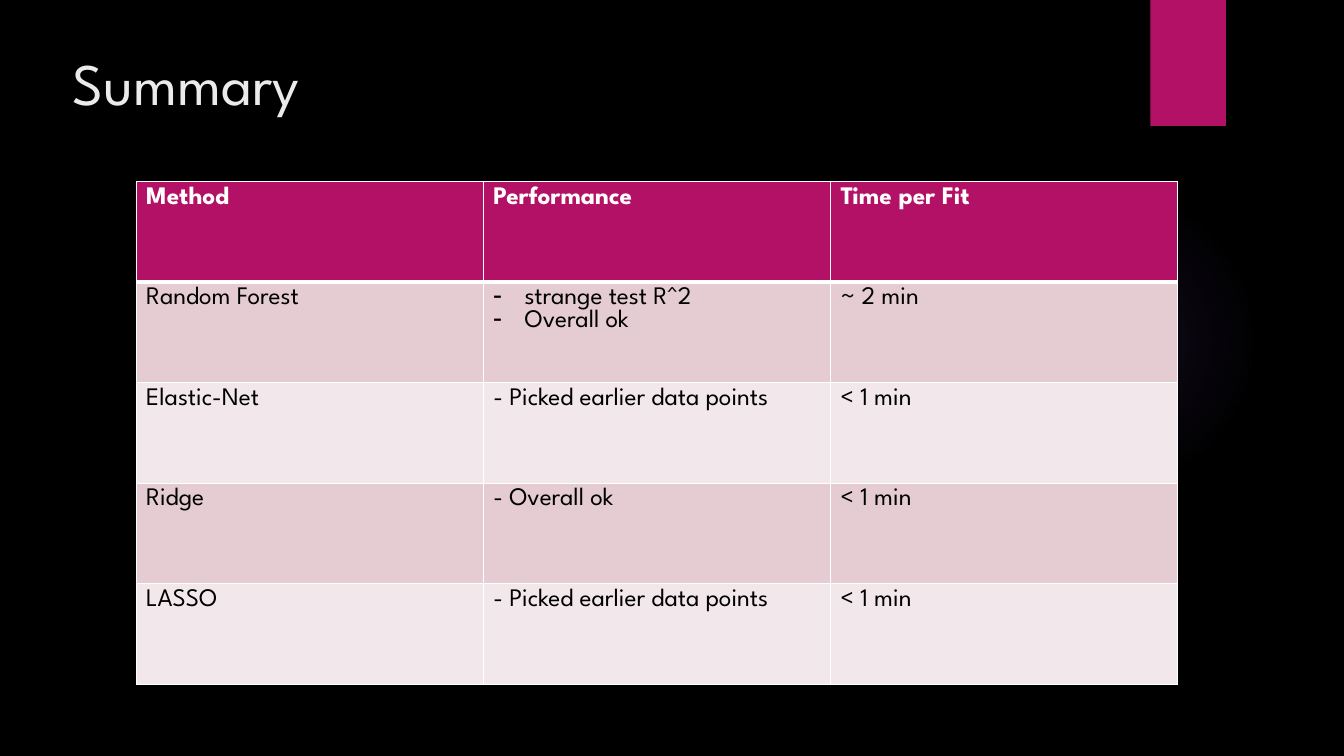
"""Builds the summary slide comparing regression methods."""
from lxml import etree
from pptx import Presentation
from pptx.dml.color import RGBColor
from pptx.enum.shapes import MSO_SHAPE as Shape
from pptx.enum.text import MSO_ANCHOR as Anchor, PP_ALIGN as Align
from pptx.oxml import parse_xml
from pptx.oxml.ns import nsdecls, qn
from pptx.util import Inches, Pt

COLORS = {
    "background": "000000",
    "accent": "B31166",
    "glow": "9B6BF2",
    "title": "EBEBEB",
    "white": "FFFFFF",
    "text": "000000",
    "dark_band": "E5CCD3",
    "light_band": "F2E7EA",
}
FONT = "League Spartan"
ROWS = [
    ["Method", "Performance", "Time per Fit"],
    ["Random Forest", "strange test R^2\nOverall ok", "~ 2 min"],
    ["Elastic-Net", "- Picked earlier data points", "< 1 min"],
    ["Ridge", "- Overall ok", "< 1 min"],
    ["LASSO", "- Picked earlier data points", "< 1 min"],
]


def format_text(paragraph, size, color, bold=False):
    paragraph.alignment = Align.LEFT
    for run in paragraph.runs:
        run.font.name = FONT
        run.font.size = Pt(size)
        run.font.bold = bold
        run.font.color.rgb = RGBColor.from_string(COLORS[color])


def set_borders(cell, top, bottom):
    widths = {"lnL": 1, "lnR": 1, "lnT": top, "lnB": bottom}
    properties = cell._tc.get_or_add_tcPr()
    for index, (side, width) in enumerate(widths.items()):
        border = parse_xml(
            f'<a:{side} {nsdecls("a")} w="{Pt(width)}"><a:solidFill>'
            f'<a:srgbClr val="{COLORS["white"]}"/></a:solidFill></a:{side}>'
        )
        properties.insert(index, border)


presentation = Presentation()
presentation.slide_width = Inches(13.33)
presentation.slide_height = Inches(7.5)
slide = presentation.slides.add_slide(presentation.slide_layouts[5])
slide.background.fill.solid()
slide.background.fill.fore_color.rgb = RGBColor.from_string(COLORS["background"])

title = slide.shapes.title
title.left, title.top = Inches(0.62), Inches(0.32)
title.width, title.height = Inches(10.1), Inches(0.98)
title.text_frame.text = "Summary"
title.text_frame.vertical_anchor = Anchor.MIDDLE
format_text(title.text_frame.paragraphs[0], 42, "title")

glow = slide.shapes.add_shape(
    Shape.OVAL, Inches(9.41), Inches(1.83), Inches(3.08), Inches(3.08)
)
glow.shadow.inherit = False
glow.line.fill.background()
stops = "".join(
    f'<a:gs pos="{position * 1000}"><a:srgbClr val="{COLORS["glow"]}">'
    f'<a:alpha val="{opacity * 1000}"/></a:srgbClr></a:gs>'
    for position, opacity in [(0, 7), (36, 6), (69, 0)]
)
gradient = parse_xml(
    f'<a:gradFill {nsdecls("a")}><a:gsLst>{stops}</a:gsLst><a:path path="circle">'
    '<a:fillToRect l="50000" t="50000" r="50000" b="50000"/></a:path></a:gradFill>'
)
glow._element.spPr.find(qn("a:prstGeom")).addnext(gradient)

ribbon = slide.shapes.add_shape(
    Shape.RECTANGLE, Inches(11.41), 0, Inches(0.75), Inches(1.25)
)
ribbon.shadow.inherit = False
ribbon.fill.solid()
ribbon.fill.fore_color.rgb = RGBColor.from_string(COLORS["accent"])
ribbon.line.fill.background()

table = slide.shapes.add_table(
    len(ROWS), len(ROWS[0]), Inches(1.35), Inches(1.8), Inches(10.33), Inches(4.99)
).table
for row_index, row in enumerate(ROWS):
    is_header = row_index == 0
    band = "dark_band" if row_index % 2 else "light_band"
    for column_index, text in enumerate(row):
        cell = table.cell(row_index, column_index)
        cell.text_frame.text = text
        cell.fill.solid()
        cell.fill.fore_color.rgb = RGBColor.from_string(
            COLORS["accent" if is_header else band]
        )
        set_borders(cell, 3 if row_index == 1 else 1, 3 if is_header else 1)
        paragraphs = cell.text_frame.paragraphs
        for paragraph in paragraphs:
            format_text(paragraph, 18, "white" if is_header else "text", is_header)
            if len(paragraphs) > 1:
                properties = paragraph._p.get_or_add_pPr()
                properties.set("marL", str(Inches(0.31)))
                properties.set("indent", str(-Inches(0.31)))
                etree.SubElement(properties, qn("a:buChar"), char="-")

presentation.save("out.pptx")
